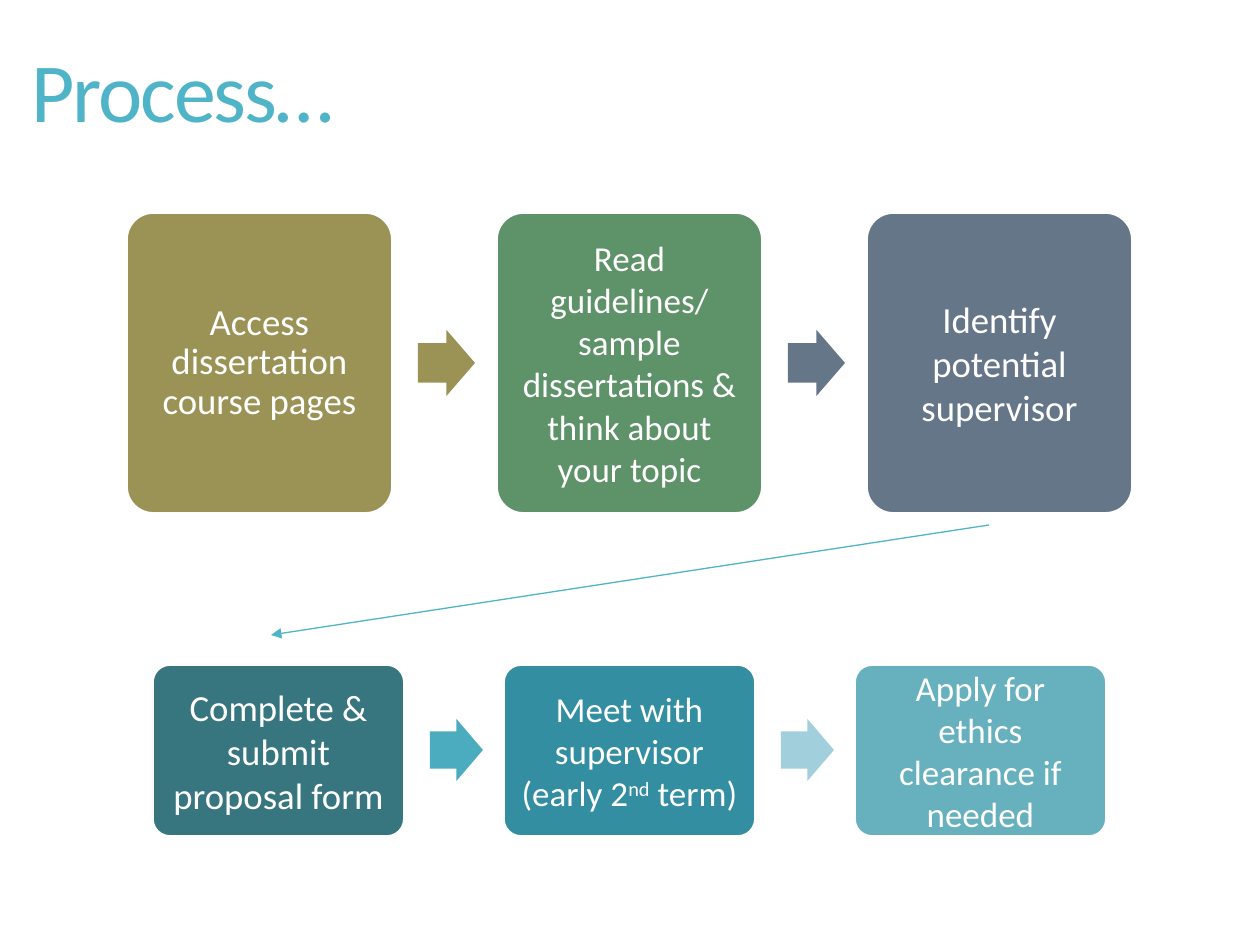
from dataclasses import dataclass

from pptx import Presentation
from pptx.dml.color import RGBColor
from pptx.enum.shapes import MSO_CONNECTOR, MSO_SHAPE
from pptx.enum.text import MSO_ANCHOR, PP_ALIGN
from pptx.oxml.ns import qn
from pptx.util import Emu, Pt
from lxml.etree import SubElement

PX_PER_INCH = 126


@dataclass(frozen=True)
class Theme:
    font: str = "Calibri"
    accent: str = "50B4C8"
    white: str = "FFFFFF"
    title_size: int = 48
    large: int = 21
    small: int = 20
    outline: float = 1
    thin: float = 0.75


@dataclass(frozen=True)
class Step:
    text: str
    fill: str
    size: int
    inset: int
    line_spacing: float = 1.0
    superscript: str = ""
    ending: str = ""


@dataclass(frozen=True)
class ProcessRow:
    left: int
    top: int
    width: int
    height: int
    pitch: int
    arrow_offset: int
    arrow_width: int
    arrow_height: int
    arrow_fills: tuple[str, ...]
    steps: tuple[Step, ...]


THEME = Theme()

PREPARATION = ProcessRow(
    127, 213, 265, 300, 370, 291, 57, 66,
    ("9B9256", "657689"),
    (
        Step("Access dissertation course pages", "9B9256", THEME.large, 11, 0.9),
        Step("Read guidelines/ sample dissertations & think about your topic",
             "5E9268", THEME.small, 10),
        Step("Identify potential supervisor", "657689", THEME.large, 11),
    ),
)
SUBMISSION = ProcessRow(
    153, 665, 251, 171, 351, 277, 53, 62,
    ("4CACBF", "A1CFDB"),
    (
        Step("Complete & submit proposal form", "37757F", THEME.large, 11),
        Step("Meet with supervisor (early 2", "328EA0", THEME.small, 10,
             superscript="nd", ending=" term)"),
        Step("Apply for ethics clearance if needed", "66B1BD", THEME.small, 10),
    ),
)


def px(length: int) -> Emu:
    return Emu(round(length * 914400 / PX_PER_INCH))


def color(code: str) -> RGBColor:
    return RGBColor.from_string(code)


def style(paragraph, size: int, code: str) -> None:
    paragraph.font.name = THEME.font
    paragraph.font.size = Pt(size)
    paragraph.font.color.rgb = color(code)


def add_filled(slide, kind: MSO_SHAPE, left: int, top: int, width: int, height: int, fill: str):
    shape = slide.shapes.add_shape(kind, px(left), px(top), px(width), px(height))
    shape.shadow.inherit = False
    shape.fill.solid()
    shape.fill.fore_color.rgb = color(fill)
    shape.line.fill.background()
    return shape


def add_step(slide, step: Step, left: int, row: ProcessRow) -> None:
    box = add_filled(slide, MSO_SHAPE.ROUNDED_RECTANGLE,
                     left, row.top, row.width, row.height, step.fill)
    box.adjustments[0] = 0.1
    box.line.color.rgb = color(THEME.white)
    box.line.width = Pt(THEME.outline)
    frame = box.text_frame
    frame.word_wrap = True
    frame.vertical_anchor = MSO_ANCHOR.MIDDLE
    frame.margin_left = frame.margin_right = px(step.inset)
    frame.margin_top = frame.margin_bottom = px(step.inset)
    paragraph = frame.paragraphs[0]
    paragraph.alignment = PP_ALIGN.CENTER
    paragraph.line_spacing = step.line_spacing
    style(paragraph, step.size, THEME.white)
    paragraph.add_run().text = step.text
    if step.superscript:
        raised = paragraph.add_run()
        raised.text = step.superscript
        raised.font._element.set("baseline", "30000")
        paragraph.add_run().text = step.ending


def add_row(slide, row: ProcessRow) -> None:
    for index, step in enumerate(row.steps):
        add_step(slide, step, row.left + index * row.pitch, row)
    arrow_top = row.top + (row.height - row.arrow_height) // 2
    for index, fill in enumerate(row.arrow_fills):
        arrow = add_filled(slide, MSO_SHAPE.RIGHT_ARROW,
                           row.left + index * row.pitch + row.arrow_offset, arrow_top,
                           row.arrow_width, row.arrow_height, fill)
        arrow.adjustments[0] = 0.6
        arrow.adjustments[1] = 0.5


def add_title(slide, text: str) -> None:
    title = slide.shapes.add_textbox(px(19), px(-19), px(1114), px(228))
    frame = title.text_frame
    frame.word_wrap = True
    frame.vertical_anchor = MSO_ANCHOR.MIDDLE
    paragraph = frame.paragraphs[0]
    paragraph.line_spacing = 0.9
    style(paragraph, THEME.title_size, THEME.accent)
    run = paragraph.add_run()
    run.text = text
    run.font._element.set("spc", "-120")


def add_row_link(slide, start: tuple[int, int], end: tuple[int, int]) -> None:
    """Draw the thin arrow leading from one row to the next."""
    link = slide.shapes.add_connector(
        MSO_CONNECTOR.STRAIGHT, *(px(value) for value in start + end))
    link.line.color.rgb = color(THEME.accent)
    link.line.width = Pt(THEME.thin)
    SubElement(link.line._get_or_add_ln(), qn("a:tailEnd"), type="triangle")
    SubElement(link._element.spPr, qn("a:effectLst"))


def main() -> None:
    deck = Presentation()
    deck.slide_width = px(10 * PX_PER_INCH)
    deck.slide_height = px(945)
    slide = deck.slides.add_slide(deck.slide_layouts[6])
    add_title(slide, "Process…")
    for row in (PREPARATION, SUBMISSION):
        add_row(slide, row)
    add_row_link(slide, (989, 525), (271, 635))
    deck.save("out.pptx")


if __name__ == "__main__":
    main()
